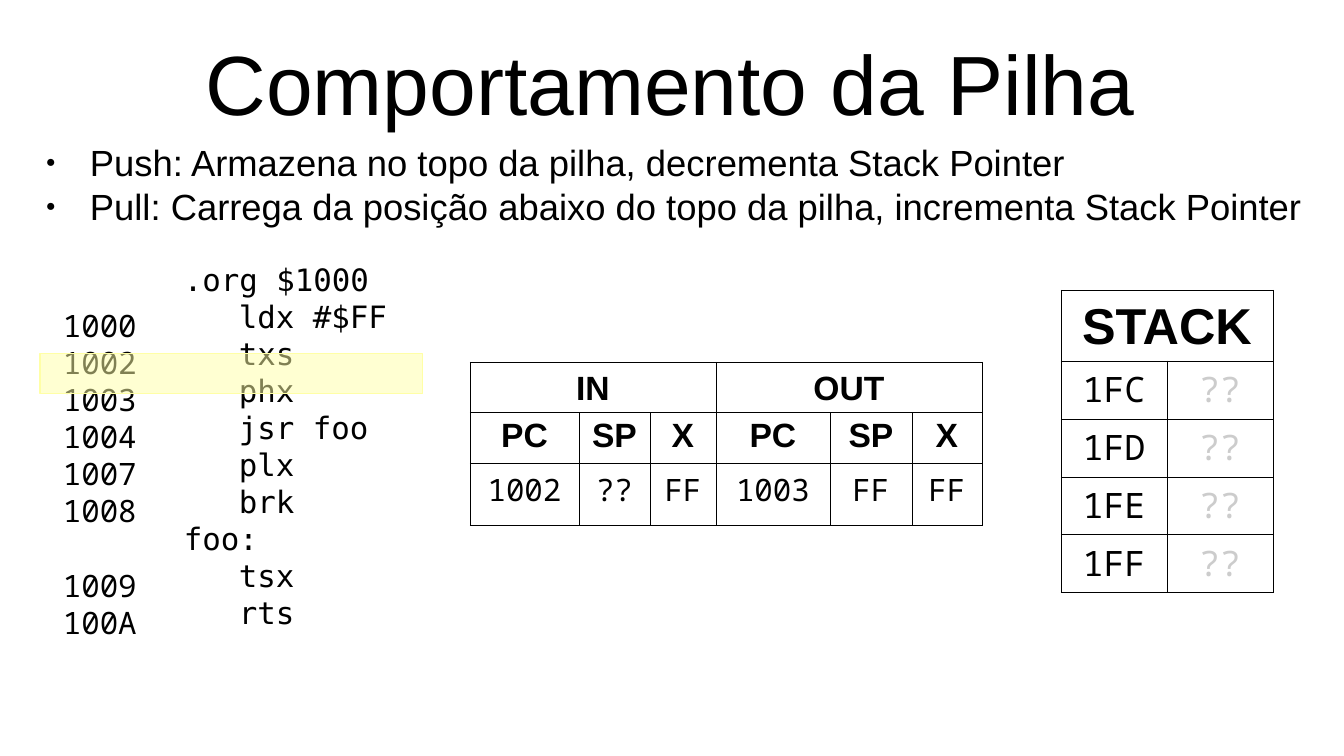
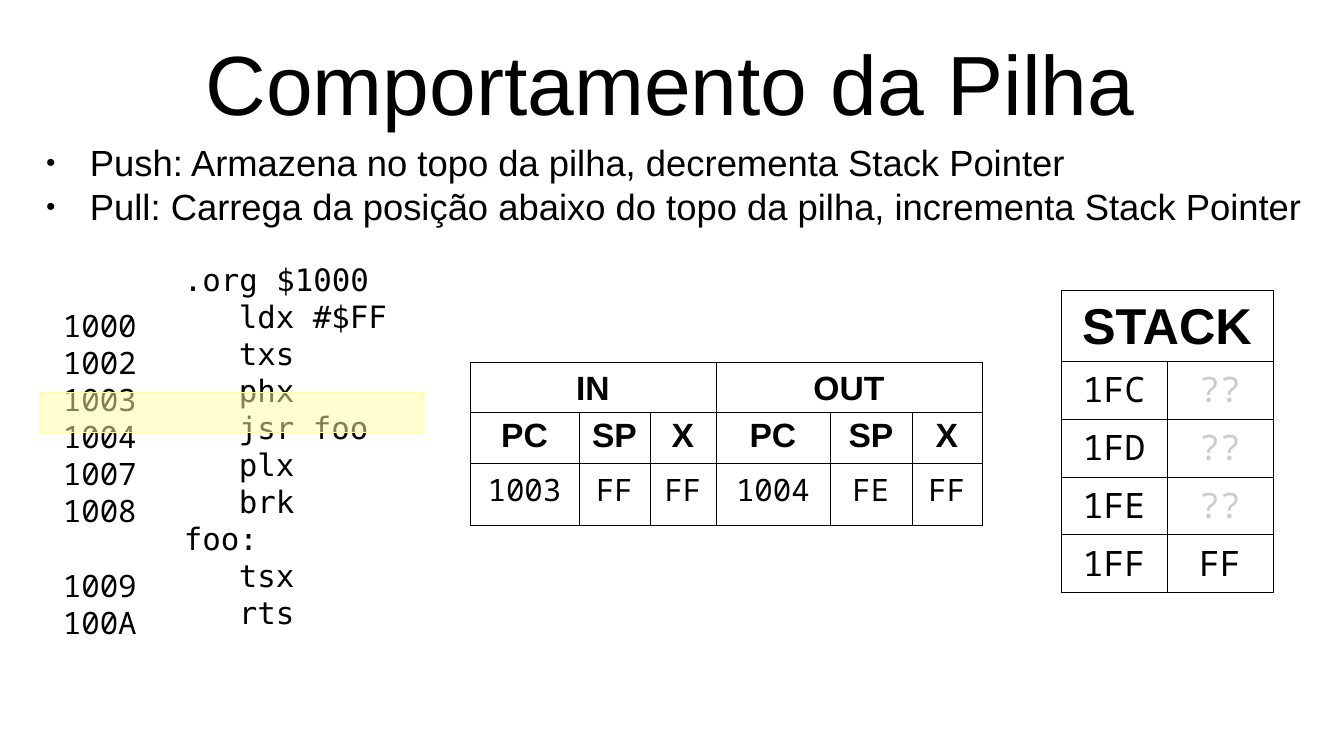
from dataclasses import dataclass
from lxml.etree import SubElement
from pptx import Presentation
from pptx.dml.color import RGBColor
from pptx.enum.shapes import MSO_SHAPE
from pptx.enum.text import MSO_ANCHOR, MSO_AUTO_SIZE, PP_ALIGN
from pptx.oxml.ns import qn
from pptx.util import Emu, Pt

TITLE = "Comportamento da Pilha"
RULES = [
    "Push: Armazena no topo da pilha, decrementa Stack Pointer",
    "Pull: Carrega da posição abaixo do topo da pilha, incrementa Stack Pointer",
]
# Source lines: (address, text); labels and directives have no address.
PROGRAM = [
    (None, ".org $1000"),
    ("1000", "ldx #$FF"),
    ("1002", "txs"),
    ("1003", "phx"),
    ("1004", "jsr foo"),
    ("1007", "plx"),
    ("1008", "brk"),
    (None, "foo:"),
    ("1009", "tsx"),
    ("100A", "rts"),
]
REGISTERS = ["PC", "SP", "X"]
STACK_ADDRESSES = ["1FC", "1FD", "1FE", "1FF"]
UNKNOWN = "??"
STEPS = [
    {"before": ["1002", "??", "FF"], "after": ["1003", "FF", "FF"],
     "stack": ["??", "??", "??", "??"], "highlight_top": 354},
    {"before": ["1003", "FF", "FF"], "after": ["1004", "FE", "FF"],
     "stack": ["??", "??", "??", "FF"], "highlight_top": 393},
]

# Lengths in px
SLIDE_SIZE = (1344, 756)
TITLE_BOX = (20, 15, 1300, 146)
RULES_BOX = (36, 135, 1279, 111)
CODE_BOX = (174, 256, 374, 507)
ADDRESS_BOX = (53, 302, 121, 404)
REGISTERS_AT = (470, 362)
REGISTER_COLUMNS = [109, 71, 66, 114, 82, 70]
REGISTER_ROWS = [50, 51, 62]
STACK_AT = (1061, 290)
STACK_COLUMNS = [106, 106]
STACK_ROWS = [70] + [58] * len(STACK_ADDRESSES)
HIGHLIGHT_LEFT, HIGHLIGHT_WIDTH, HIGHLIGHT_HEIGHT = 40, 383, 40
BULLET_INDENT = 44
CODE_INDENT = 55
SKIPPED_LINE = 38


@dataclass(frozen=True)
class Theme:
    ink: str = "000000"
    paper: str = "FFFFFF"
    muted: str = "CCCCCC"
    highlight: str = "FFFFA6"
    highlight_alpha: int = 50
    sans: str = "Arial"
    code_font: str = "DejaVu Sans Mono"
    mono: str = "Noto Sans Mono"
    title_size: int = 60
    rule_size: int = 26
    code_size: int = 22
    heading_size: int = 24
    stack_heading_size: int = 36
    stack_size: int = 25
    border_width: float = 0.06


THEME = Theme()


def px(length):
    return Emu(round(length * 914400 / 100.8))


def place(box):
    return [px(length) for length in box]


def write_text(frame, lines, *, size, font=THEME.sans, color=THEME.ink, bold=False,
               align=PP_ALIGN.LEFT, line_spacing=None, indents=None, gaps=None,
               bullets=False):
    """Fill a frame with one paragraph a line; indents and gaps above are px by line."""
    for index, line in enumerate(lines):
        paragraph = frame.paragraphs[0] if index == 0 else frame.add_paragraph()
        paragraph.alignment = align
        if line_spacing:
            paragraph.line_spacing = line_spacing
        if gaps and gaps[index]:
            paragraph.space_before = px(gaps[index])
        properties = paragraph._p.get_or_add_pPr()
        if indents and indents[index]:
            properties.set("marL", str(px(indents[index])))
        if bullets:
            properties.set("indent", str(-px(BULLET_INDENT)))
            bullet_color = SubElement(properties, qn("a:buClr"))
            SubElement(bullet_color, qn("a:srgbClr"), val=color)
            SubElement(properties, qn("a:buSzPct"), val="45000")
            SubElement(properties, qn("a:buFont"), typeface=font)
            SubElement(properties, qn("a:buChar"), char="●")
        run = paragraph.add_run()
        run.text = line
        run.font.size = Pt(size)
        run.font.name = font
        run.font.bold = bold
        run.font.color.rgb = RGBColor.from_string(color)


def add_text(slide, box, lines, wrap=True, **text_format):
    frame = slide.shapes.add_textbox(*place(box)).text_frame
    frame.word_wrap = wrap
    write_text(frame, lines, **text_format)


def add_title(slide):
    title = slide.shapes.title
    title.left, title.top, title.width, title.height = place(TITLE_BOX)
    frame = title.text_frame
    frame.auto_size = MSO_AUTO_SIZE.NONE
    frame.vertical_anchor = MSO_ANCHOR.MIDDLE
    write_text(frame, [TITLE], size=THEME.title_size, align=PP_ALIGN.CENTER,
               line_spacing=0.9)


def add_program(slide):
    add_text(slide, CODE_BOX, [text for _, text in PROGRAM],
             size=THEME.code_size, font=THEME.code_font,
             indents=[CODE_INDENT if address else 0 for address, _ in PROGRAM])
    addresses, gaps = [], []
    skipped = 0
    for address, _ in PROGRAM:
        if address:
            addresses.append(address)
            gaps.append(skipped if len(addresses) > 1 else 0)
            skipped = 0
        else:
            skipped += SKIPPED_LINE
    add_text(slide, ADDRESS_BOX, addresses, size=THEME.code_size, font=THEME.mono,
             gaps=gaps)


def frame_cell(cell):
    """Give a cell thin borders on all sides and a plain fill."""
    properties = cell._tc.get_or_add_tcPr()
    for side in ("lnL", "lnR", "lnT", "lnB"):
        border = SubElement(properties, qn(f"a:{side}"),
                            w=str(Pt(THEME.border_width)))
        fill = SubElement(border, qn("a:solidFill"))
        SubElement(fill, qn("a:srgbClr"), val=THEME.ink)
    cell.fill.solid()
    cell.fill.fore_color.rgb = RGBColor.from_string(THEME.paper)


def add_grid(slide, corner, columns, rows):
    box = (*corner, sum(columns), sum(rows))
    table = slide.shapes.add_table(len(rows), len(columns), *place(box)).table
    table.first_row = table.horz_banding = False
    for column, width in zip(table.columns, columns):
        column.width = px(width)
    for row, height in zip(table.rows, rows):
        row.height = px(height)
        for cell in row.cells:
            frame_cell(cell)
    return table


def write_cell(cell, text, **text_format):
    write_text(cell.text_frame, [text], align=PP_ALIGN.CENTER, **text_format)


def add_heading(table, first, last, text, size):
    """Merge the top row from the first to the last column under one heading."""
    cell = table.cell(0, first)
    cell.merge(table.cell(0, last))
    cell.vertical_anchor = MSO_ANCHOR.BOTTOM
    write_cell(cell, text, size=size, bold=True)


def add_registers(slide, step):
    table = add_grid(slide, REGISTERS_AT, REGISTER_COLUMNS, REGISTER_ROWS)
    for group, (heading, key) in enumerate([("IN", "before"), ("OUT", "after")]):
        first = group * len(REGISTERS)
        add_heading(table, first, first + len(REGISTERS) - 1, heading,
                    THEME.heading_size)
        for column, (register, value) in enumerate(zip(REGISTERS, step[key]), first):
            write_cell(table.cell(1, column), register,
                       size=THEME.heading_size, bold=True)
            write_cell(table.cell(2, column), value,
                       size=THEME.code_size, font=THEME.mono)


def add_stack(slide, values):
    table = add_grid(slide, STACK_AT, STACK_COLUMNS, STACK_ROWS)
    add_heading(table, 0, 1, "STACK", THEME.stack_heading_size)
    for row, entry in enumerate(zip(STACK_ADDRESSES, values), 1):
        for column, text in enumerate(entry):
            write_cell(table.cell(row, column), text, size=THEME.stack_size,
                       font=THEME.mono,
                       color=THEME.muted if text == UNKNOWN else THEME.ink)


def add_highlight(slide, top):
    box = (HIGHLIGHT_LEFT, top, HIGHLIGHT_WIDTH, HIGHLIGHT_HEIGHT)
    highlight = slide.shapes.add_shape(MSO_SHAPE.RECTANGLE, *place(box))
    highlight.shadow.inherit = False
    color = RGBColor.from_string(THEME.highlight)
    highlight.fill.solid()
    highlight.fill.fore_color.rgb = color
    fill_color = highlight._element.spPr.find(qn("a:solidFill")).find(qn("a:srgbClr"))
    SubElement(fill_color, qn("a:alpha"), val=str(THEME.highlight_alpha * 1000))
    highlight.line.color.rgb = color
    highlight.line.width = Pt(0)


def main():
    deck = Presentation()
    deck.slide_width, deck.slide_height = place(SLIDE_SIZE)
    title_only = deck.slide_layouts[5]
    for step in STEPS:
        slide = deck.slides.add_slide(title_only)
        add_title(slide)
        add_text(slide, RULES_BOX, RULES, wrap=False, size=THEME.rule_size,
                 indents=[BULLET_INDENT] * len(RULES), bullets=True)
        add_program(slide)
        add_registers(slide, step)
        add_stack(slide, step["stack"])
        add_highlight(slide, step["highlight_top"])
    deck.save("out.pptx")


if __name__ == "__main__":
    main()
